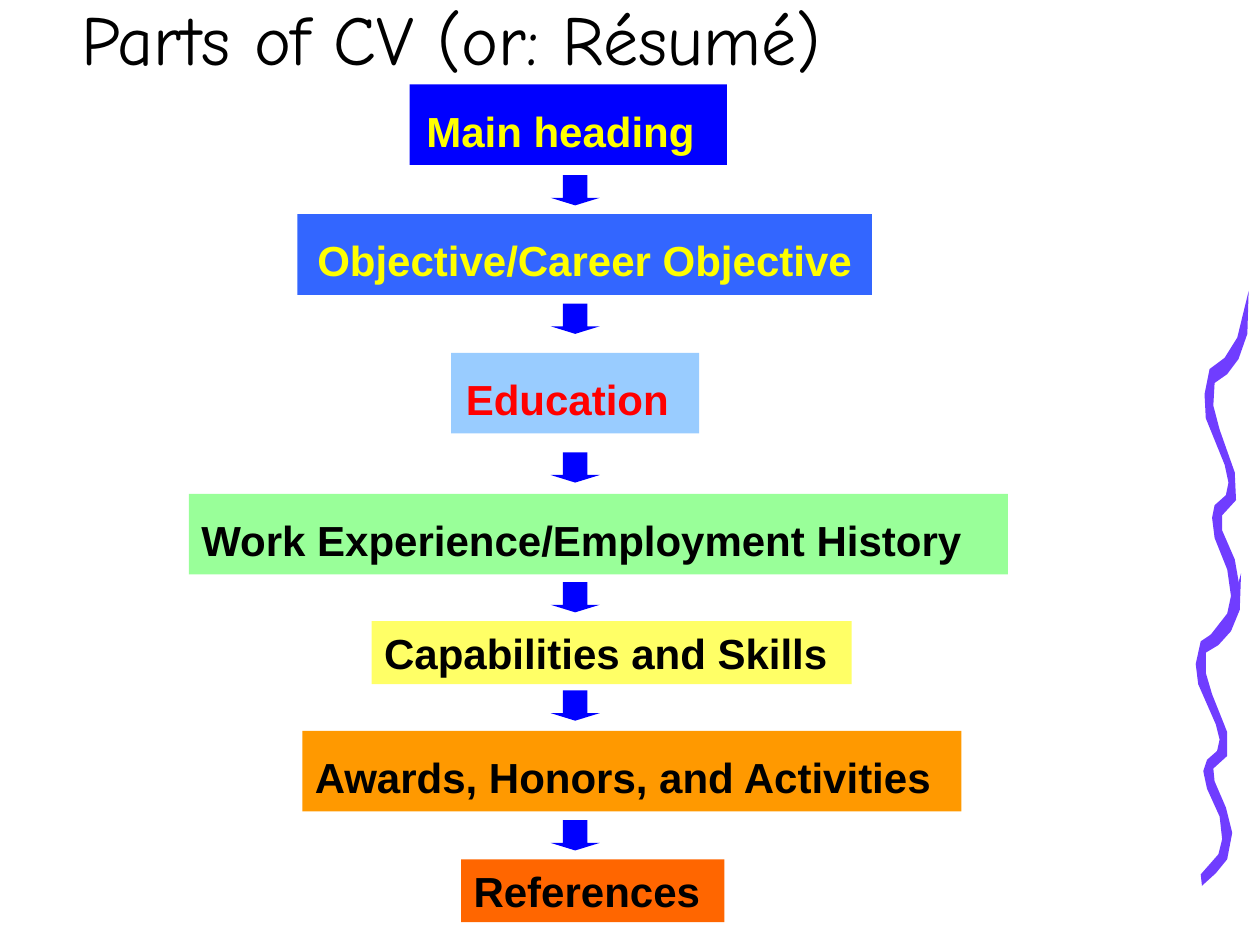
from pptx import Presentation
from pptx.dml.color import RGBColor
from pptx.enum.shapes import MSO_SHAPE
from pptx.enum.text import MSO_ANCHOR, MSO_AUTO_SIZE, PP_ALIGN
from pptx.util import Inches, Pt

RECTANGLE, DOWN_ARROW = MSO_SHAPE.RECTANGLE, MSO_SHAPE.DOWN_ARROW
LEFT, CENTER = PP_ALIGN.LEFT, PP_ALIGN.CENTER
MIDDLE, BOTTOM = MSO_ANCHOR.MIDDLE, MSO_ANCHOR.BOTTOM
FIT_SHAPE, NO_FIT = MSO_AUTO_SIZE.SHAPE_TO_FIT_TEXT, MSO_AUTO_SIZE.NONE

COLUMNS, ROWS = 100, 75
COLORS = {
    "black": "000000", "yellow": "FFFF00", "red": "FF0000",
    "blue": "0000FF", "royal": "3366FF", "sky": "99CCFF", "green": "99FF99",
    "lemon": "FFFF66", "orange": "FF9900", "rust": "FF6600", "violet": "703DFF",
}
MARGINS = {
    "margin_left": Inches(0.1), "margin_right": Inches(0.1),
    "margin_top": Inches(0.05), "margin_bottom": Inches(0.05),
}
TITLE_FONT = {"name": "Comic Neue", "size": Pt(40), "bold": False}
LABEL_FONT = {"name": "Arial", "size": Pt(24), "bold": True}
SPACER_FONT = LABEL_FONT | {"size": Pt(32)}

# Boxes: text, left, top, width, fill, font colour, alignment, wrap, tall
BOXES = [
    ("Main heading", 32.5, 6.7, 25.2, "blue", "yellow", CENTER, True, True),
    ("Objective/Career Objective", 23.6, 17, 45.6, "royal", "yellow", CENTER, False, True),
    ("Education", 35.8, 28, 19.7, "sky", "red", CENTER, True, True),
    ("Work Experience/Employment History", 15, 39.2, 65, "green", "black", LEFT, True, True),
    ("Capabilities and Skills", 29.5, 49.3, 38.1, "lemon", "black", LEFT, False, False),
    ("Awards, Honors, and Activities", 24, 58, 52.3, "orange", "black", LEFT, False, True),
    ("References", 36.6, 68.2, 20.9, "rust", "black", LEFT, False, False),
]
ARROW_TOPS = [13.9, 24.1, 35.9, 46.2, 54.8, 65.1]

# Brush strokes: outline points in tenths of a grid cell
STROKES = [
    [(953, 694), (967, 678), (970, 666), (968, 648), (958, 626), (955, 612),
     (958, 603), (966, 596), (968, 587), (965, 575), (951, 543), (949, 527),
     (953, 509), (965, 501), (976, 487), (985, 455), (984, 484), (977, 501),
     (967, 512), (957, 518), (957, 534), (962, 551), (974, 581), (974, 600),
     (963, 610), (964, 620), (973, 641), (978, 661), (974, 682), (965, 693),
     (954, 703)],
    [(960, 505), (974, 487), (977, 473), (974, 452), (964, 427), (962, 411),
     (964, 401), (973, 393), (975, 383), (972, 369), (957, 332), (956, 313),
     (960, 293), (972, 284), (982, 268), (991, 231), (990, 265), (983, 285),
     (974, 297), (964, 304), (963, 322), (968, 341), (980, 375), (981, 397),
     (970, 409), (970, 421), (980, 444), (984, 467), (980, 491), (972, 504),
     (961, 515)],
]


def apply(target, values):
    for name, value in values.items():
        setattr(target, name, value)


class SlideBuilder:
    """Holds the grid, the style and the current slide."""

    def __init__(self, presentation):
        self.cell_width = presentation.slide_width / COLUMNS
        self.cell_height = presentation.slide_height / ROWS
        self.slide = presentation.slides.add_slide(presentation.slide_layouts[5])

    def place(self, left, top, width, height):
        return (round(left * self.cell_width), round(top * self.cell_height),
                round(width * self.cell_width), round(height * self.cell_height))

    def paint(self, shape, color):
        shape.shadow.inherit = False
        shape.fill.solid()
        shape.fill.fore_color.rgb = RGBColor.from_string(COLORS[color])
        shape.line.fill.background()

    def run(self, paragraph, text, font, color):
        run = paragraph.add_run()
        run.text = text
        apply(run.font, font)
        run.font.color.rgb = RGBColor.from_string(COLORS[color])

    def title(self, text, *area):
        shape = self.slide.shapes.title
        apply(shape, dict(zip(("left", "top", "width", "height"), self.place(*area))))
        frame = shape.text_frame
        apply(frame, MARGINS | {"vertical_anchor": BOTTOM, "word_wrap": True,
                                "auto_size": NO_FIT})
        frame.paragraphs[0].alignment = CENTER
        self.run(frame.paragraphs[0], text, TITLE_FONT, "black")

    def box(self, text, left, top, width, fill, color, alignment, wrap, tall):
        area = self.place(left, top, width, 6.4 if tall else 5)
        shape = self.slide.shapes.add_shape(RECTANGLE, *area)
        self.paint(shape, fill)
        frame = shape.text_frame
        apply(frame, MARGINS | {"vertical_anchor": MIDDLE, "word_wrap": wrap,
                                "auto_size": FIT_SHAPE})
        paragraph = frame.paragraphs[0]
        paragraph.alignment = alignment
        self.run(paragraph, text, LABEL_FONT, color)
        if tall:  # a larger closing space gives the line its height
            self.run(paragraph, " ", SPACER_FONT, color)

    def arrow(self, top):
        area = self.place(43.7, top, 3.9, 2.4)
        self.paint(self.slide.shapes.add_shape(DOWN_ARROW, *area), "blue")
        # The preset's default head is too long for the gaps
        arrow = self.slide.shapes[-1]
        arrow.adjustments[0], arrow.adjustments[1] = 0.5, 0.25

    def stroke(self, points):
        scale = (self.cell_width / 10, self.cell_height / 10)
        builder = self.slide.shapes.build_freeform(*points[0], scale=scale)
        builder.add_line_segments(points[1:], close=True)
        self.paint(builder.convert_to_shape(), "violet")


def main():
    presentation = Presentation()
    presentation.slide_width, presentation.slide_height = Inches(10), Inches(7.5)
    builder = SlideBuilder(presentation)

    # Decoration and title
    for points in STROKES:
        builder.stroke(points)
    builder.title("Parts of CV (or: Résumé)", 0, 0, 71.6, 6.8)

    # Flow from the heading down to the references
    for box in BOXES:
        builder.box(*box)
    for top in ARROW_TOPS:
        builder.arrow(top)

    presentation.save("out.pptx")


if __name__ == "__main__":
    main()
